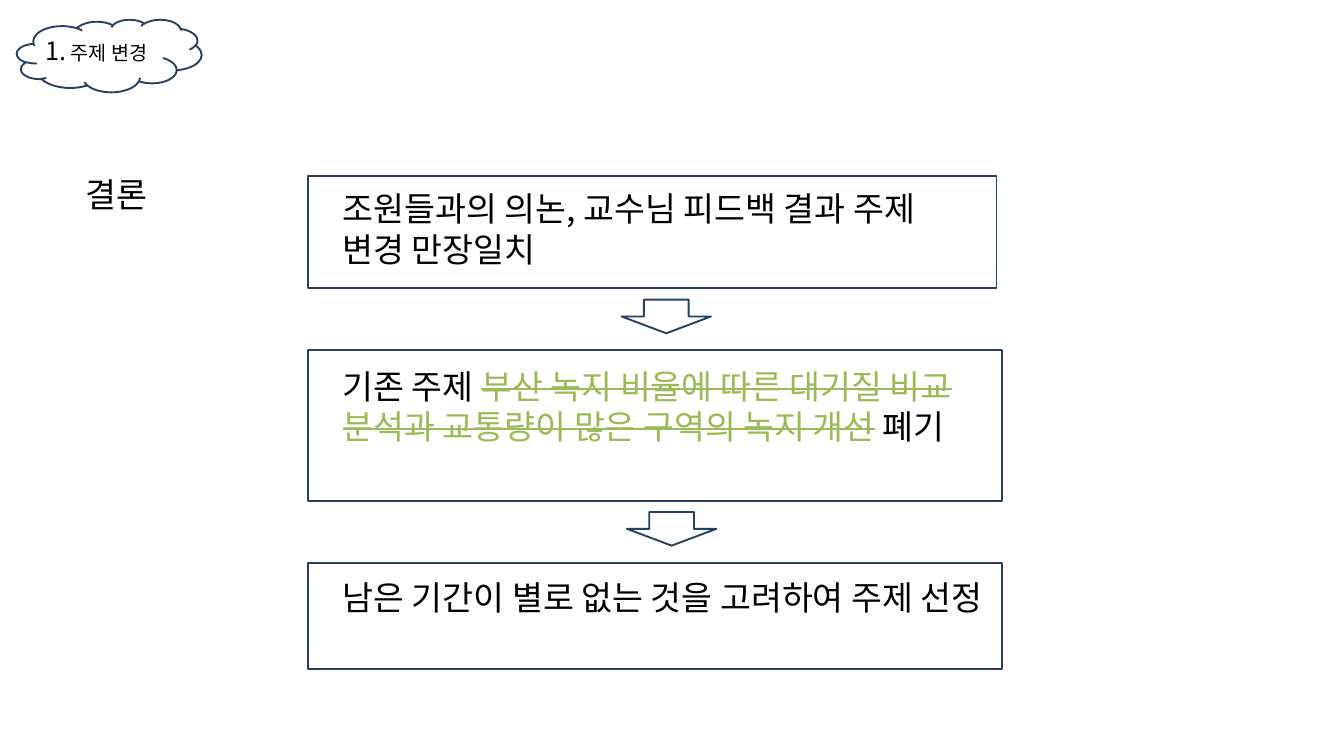
from dataclasses import dataclass

from pptx import Presentation
from pptx.dml.color import RGBColor
from pptx.enum import shapes, text
from pptx.oxml.ns import qn
from pptx.util import Inches, Pt

FONT = "Noto Sans CJK KR"
COLORS = {"paper": "FFFFFF", "outline": "27405E", "ink": "000000", "dropped": "9BBB59"}


@dataclass
class Outline:
    kind: shapes.MSO_SHAPE
    left: float
    top: float
    width: float
    height: float


@dataclass
class Span:
    words: str
    size: int = 36
    color: str = "ink"
    struck: bool = False


@dataclass
class Label:
    left: float
    top: float
    width: float
    height: float
    spans: list[Span]


BOX = shapes.MSO_SHAPE.RECTANGLE
ARROW = shapes.MSO_SHAPE.DOWN_ARROW
CLOUD = shapes.MSO_SHAPE.CLOUD

OUTLINES = [
    Outline(BOX, 4.58, 2.62, 10.25, 1.67),
    Outline(ARROW, 9.25, 4.46, 1.33, 0.5),
    Outline(BOX, 4.58, 5.21, 10.33, 2.25),
    Outline(ARROW, 9.33, 7.62, 1.33, 0.5),
    Outline(BOX, 4.58, 8.38, 10.33, 1.58),
    Outline(CLOUD, 0.25, 0.29, 2.75, 1.08),
]

LABELS = [
    Label(0.58, 0.48, 4.08, 0.55, [Span("1.", 27), Span(" 주제 변경", 21)]),
    Label(1.17, 2.54, 13.17, 0.7, [Span("결론")]),
    Label(5, 2.75, 9.42, 1.3, [Span("조원들과의 의논, 교수님 피드백 결과 주제 변경 만장일치")]),
    Label(5, 5.39, 10, 1.9, [
        Span("기존 주제 "),
        Span("부산 녹지 비율에 따른 대기질 비교 분석과 교통량이 많은 구역의 녹지 개선",
             color="dropped", struck=True),
        Span(" 폐기"),
    ]),
    Label(5, 8.54, 10, 1.29, [Span("남은 기간이 별로 없는 것을 고려하여 주제 선정")]),
]


def rgb(name: str) -> RGBColor:
    return RGBColor.from_string(COLORS[name])


def draw_outline(page, item: Outline) -> None:
    shape = page.shapes.add_shape(item.kind, Inches(item.left), Inches(item.top),
                                  Inches(item.width), Inches(item.height))
    shape.shadow.inherit = False
    shape.fill.solid()
    shape.fill.fore_color.rgb = rgb("paper")
    shape.line.color.rgb = rgb("outline")
    shape.line.width = Pt(2)


def add_span(paragraph, span: Span) -> None:
    """Add a run whose font also covers Hangul, struck through if asked."""
    run = paragraph.add_run()
    run.text = span.words
    run.font.size = Pt(span.size)
    run.font.name = FONT
    run.font.color.rgb = rgb(span.color)
    properties = run.font._element
    east_asian = properties.makeelement(qn("a:ea"), {"typeface": FONT})
    properties.find(qn("a:latin")).addnext(east_asian)
    if span.struck:
        properties.set("strike", "sngStrike")


def draw_label(page, label: Label) -> None:
    box = page.shapes.add_textbox(Inches(label.left), Inches(label.top),
                                  Inches(label.width), Inches(label.height))
    frame = box.text_frame
    frame.word_wrap = True
    frame.auto_size = text.MSO_AUTO_SIZE.SHAPE_TO_FIT_TEXT
    for span in label.spans:
        add_span(frame.paragraphs[0], span)


def main() -> None:
    deck = Presentation()
    deck.slide_width, deck.slide_height = Inches(20), Inches(11.25)
    page = deck.slides.add_slide(deck.slide_layouts[6])
    for item in OUTLINES:
        draw_outline(page, item)
    for label in LABELS:
        draw_label(page, label)
    deck.save("out.pptx")


if __name__ == "__main__":
    main()
